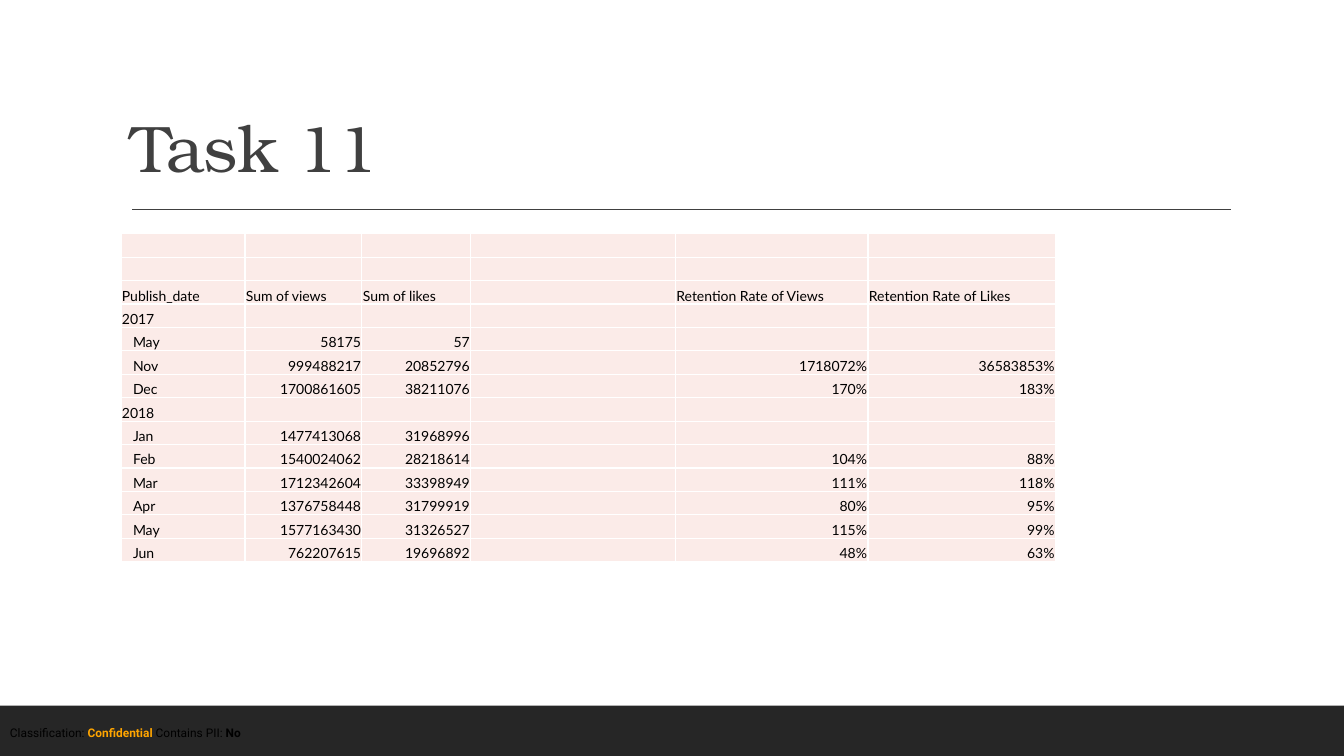
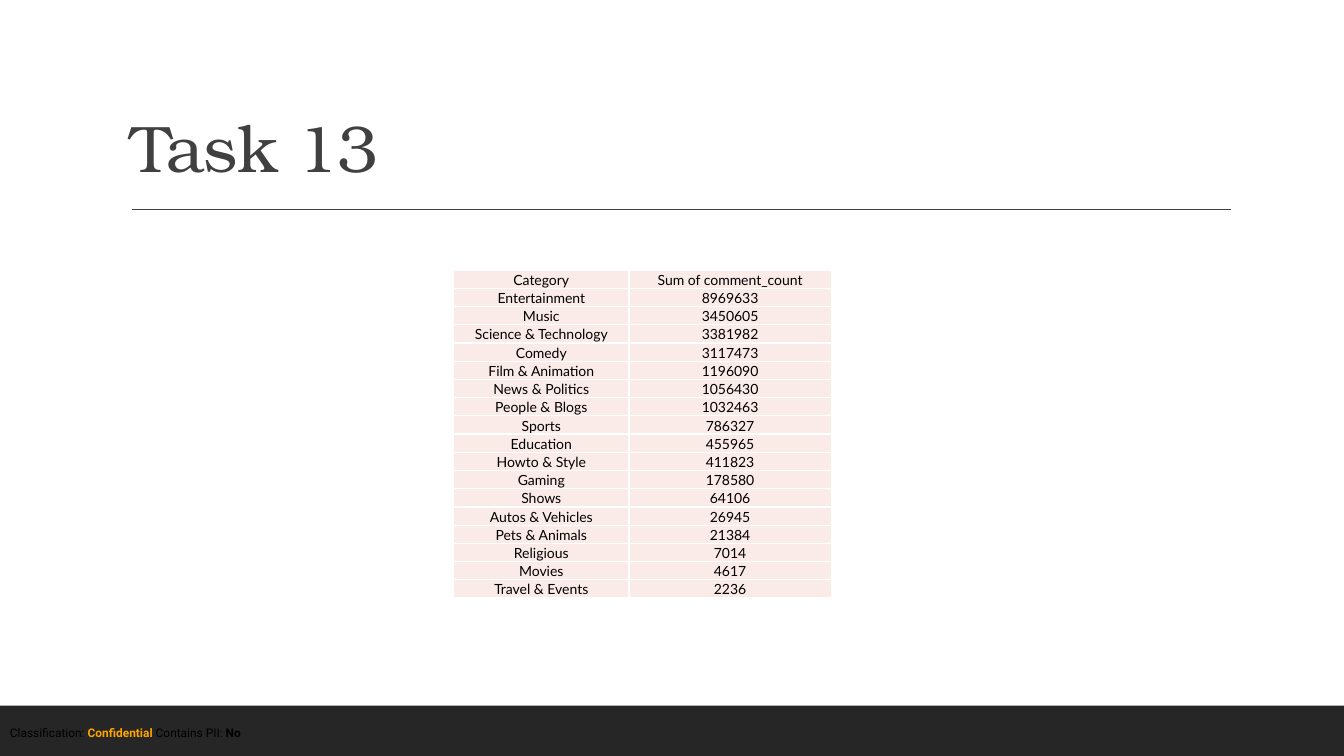
from lxml.etree import SubElement
from pptx import Presentation
from pptx.dml.color import RGBColor
from pptx.enum.shapes import MSO_CONNECTOR as CONN, MSO_SHAPE as SHAPE
from pptx.enum.text import MSO_ANCHOR as ANCHOR, PP_ALIGN as ALIGN
from pptx.oxml import parse_xml
from pptx.oxml.ns import nsdecls, qn
from pptx.util import Inches, Pt

INK, BAND, BLACK, ALERT, CELL, WHITE = "404040", "262626", "000000", "FFA500", "FBEBE8", "FFFFFF"
TITLE_FONT, TABLE_FONT, FOOTER_FONT = "TeX Gyre Bonum", "Lato", "Roboto"
TABLE_SIZE = 10

prs = Presentation()
prs.slide_width, prs.slide_height = Inches(13.33), Inches(7.5)


def rgb(value):
    """Turn a hex string into a colour."""
    return RGBColor.from_string(value)


def across(share):
    """Return a percentage of the slide's width."""
    return round(prs.slide_width * share / 100)


def down(share):
    """Return a percentage of the slide's height."""
    return round(prs.slide_height * share / 100)


def place(left, top, width, height):
    """Turn a box in percentages of the slide into lengths."""
    return across(left), down(top), across(width), down(height)


def add_run(p, text, font, size, color, bold=False):
    """Append one formatted run to a paragraph."""
    r = p.add_run()
    r.text = text
    r.font.name, r.font.size, r.font.bold = font, Pt(size), bold
    r.font.color.rgb = rgb(color)
    return r


def add_text_box(s, box):
    """Add a wrapping text box and return its text frame."""
    tf = s.shapes.add_textbox(*place(*box)).text_frame
    tf.word_wrap = True
    return tf


def add_footer(s, box):
    """Draw the dark band with the classification centred on it."""
    left, top, width, height = box
    band = s.shapes.add_shape(SHAPE.RECTANGLE, *place(*box))
    band.shadow.inherit = False
    band.fill.solid()
    band.fill.fore_color.rgb = rgb(BAND)
    band.line.fill.background()
    tf = add_text_box(s, (left, top + height * 0.3, width, height * 0.48))
    p = tf.paragraphs[0]
    for text, color, bold in (
        ("Classification: ", BLACK, False),
        ("Confidential", ALERT, True),
        (" Contains PII: ", BLACK, False),
        ("No", BLACK, True),
    ):
        add_run(p, text, FOOTER_FONT, 8.5, color, bold)


def add_title(s, text, box):
    """Write the title at the bottom of its box and rule a line below."""
    left, top, width, height = box
    tf = add_text_box(s, box)
    tf.vertical_anchor = ANCHOR.BOTTOM
    p = tf.paragraphs[0]
    p.line_spacing = 0.9
    r = add_run(p, text, TITLE_FONT, 47, INK)
    r.font._element.set("spc", "-50")
    y = down(top + height + 2.4)
    rule = s.shapes.add_connector(CONN.STRAIGHT, across(left + 0.83), y, across(left + 82.58), y)
    rule.line.color.rgb = rgb(INK)
    rule.line.width = Pt(1)
    SubElement(rule._element.spPr, qn("a:effectLst"))


def fill_cell(cell, text, align, indent):
    """Style one cell and write its text."""
    tc_pr = cell._tc.get_or_add_tcPr()
    for side in "LRTB":
        tc_pr.append(parse_xml(
            f'<a:ln{side} {nsdecls("a")} w="{Pt(1)}"><a:solidFill>'
            f'<a:srgbClr val="{WHITE}"/></a:solidFill></a:ln{side}>'))
    cell.fill.solid()
    cell.fill.fore_color.rgb = rgb(CELL)
    cell.vertical_anchor = ANCHOR.BOTTOM
    cell.margin_left = Inches(indent)
    cell.margin_top = cell.margin_right = Inches(0.01)
    cell.margin_bottom = 0
    p = cell.text_frame.paragraphs[0]
    p.alignment = align
    if text:
        add_run(p, text, TABLE_FONT, TABLE_SIZE, BLACK)
    else:
        SubElement(p._p, qn("a:endParaRPr"), sz=str(TABLE_SIZE * 100))


def add_grid(s, rows, left, top, widths, row_height, style):
    """Add a table whose cells take alignment and indent from a style rule."""
    box = place(left, top, sum(widths), row_height * len(rows))
    table = s.shapes.add_table(len(rows), len(widths), *box).table
    table.first_row = table.horz_banding = False
    for column, width in zip(table.columns, widths):
        column.width = across(width)
    for i, row in enumerate(rows):
        table.rows[i].height = down(row_height)
        for j in range(len(widths)):
            text = row[j] if j < len(row) else ""
            fill_cell(table.cell(i, j), text, *style(text, j))


def retention_style(text, column):
    """Indent the months and align the figures right."""
    if column == 0:
        return ALIGN.LEFT, 0.12 if text.isalpha() else 0.01
    return ALIGN.RIGHT if text[:1].isdigit() else ALIGN.LEFT, 0.01


def centred_style(text, column):
    """Centre every cell."""
    return ALIGN.CENTER, 0.01


def add_table_slide(title, *grid):
    """Add a slide with title, table and footer."""
    s = prs.slides.add_slide(prs.slide_layouts[6])
    add_footer(s, (0, 93.33, 100, 6.67))
    add_title(s, title, (9, 4.13, 82.5, 21.2))
    add_grid(s, *grid)


RETENTION = [
    (),
    (),
    ("Publish_date", "Sum of views", "Sum of likes", "", "Retention Rate of Views", "Retention Rate of Likes"),
    ("2017",),
    ("May", "58175", "57"),
    ("Nov", "999488217", "20852796", "", "1718072%", "36583853%"),
    ("Dec", "1700861605", "38211076", "", "170%", "183%"),
    ("2018",),
    ("Jan", "1477413068", "31968996"),
    ("Feb", "1540024062", "28218614", "", "104%", "88%"),
    ("Mar", "1712342604", "33398949", "", "111%", "118%"),
    ("Apr", "1376758448", "31799919", "", "80%", "95%"),
    ("May", "1577163430", "31326527", "", "115%", "99%"),
    ("Jun", "762207615", "19696892", "", "48%", "63%"),
]

COMMENTS = [
    ("Category", "Sum of comment_count"),
    ("Entertainment", "8969633"),
    ("Music", "3450605"),
    ("Science & Technology", "3381982"),
    ("Comedy", "3117473"),
    ("Film & Animation", "1196090"),
    ("News & Politics", "1056430"),
    ("People & Blogs", "1032463"),
    ("Sports", "786327"),
    ("Education", "455965"),
    ("Howto & Style", "411823"),
    ("Gaming", "178580"),
    ("Shows", "64106"),
    ("Autos & Vehicles", "26945"),
    ("Pets & Animals", "21384"),
    ("Religious", "7014"),
    ("Movies", "4617"),
    ("Travel & Events", "2236"),
]


def main():
    """Build both slides and save the file."""
    add_table_slide("Task 11", RETENTION, 9, 30.93,
                    (9.23, 8.7, 8.1, 15.23, 14.33, 13.95), 3.1, retention_style)
    add_table_slide("Task 13", COMMENTS, 33.75, 35.73, (13.05, 15.05), 2.41, centred_style)
    prs.save("out.pptx")


if __name__ == "__main__":
    main()
